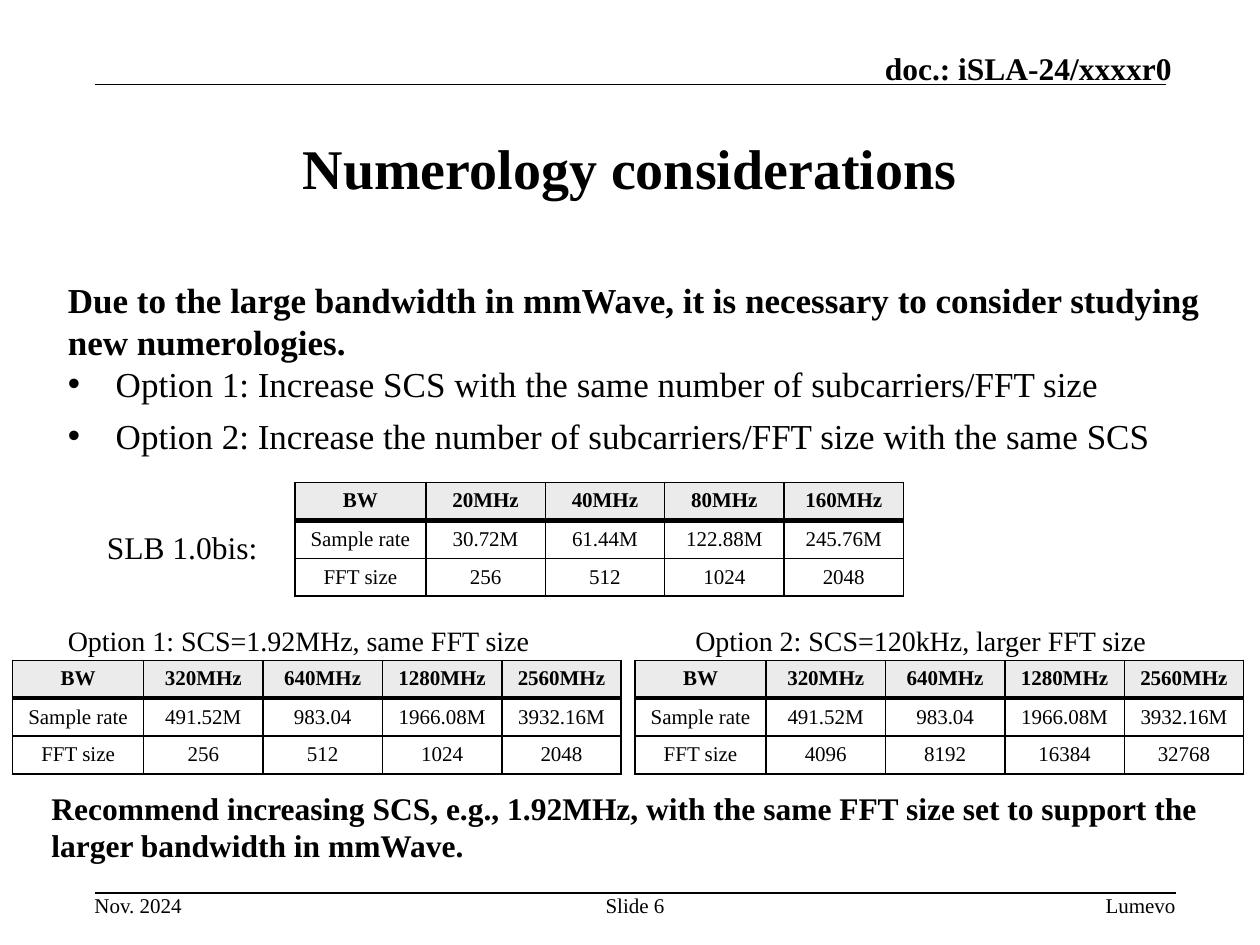
import dataclasses
import typing

import lxml.etree
import pptx
import pptx.dml.color
import pptx.enum.shapes
import pptx.enum.text
import pptx.oxml.ns
import pptx.util

Align = pptx.enum.text.PP_ALIGN
Anchor = pptx.enum.text.MSO_ANCHOR
qn = pptx.oxml.ns.qn


@dataclasses.dataclass(frozen=True)
class Theme:
    font: str = "Times New Roman"
    ink: str = "000000"
    head: str = "EBEBEB"
    title: int = 32
    body: int = 20
    note: int = 18
    label: int = 16
    small: int = 12
    thin: int = 1
    thick: int = 3


@dataclasses.dataclass(frozen=True)
class Box:
    """Place on a grid of 100 columns by 75 rows."""
    col: float
    row: float
    wide: float
    high: float


@dataclasses.dataclass(frozen=True)
class Label:
    text: str
    box: Box
    size: int
    bold: bool = False
    align: Align = Align.LEFT
    anchor: Anchor = Anchor.TOP
    wrap: bool = True
    inset: bool = True


@dataclasses.dataclass(frozen=True)
class Grid:
    col: float
    row: float
    bands: tuple[str, ...]
    rates: tuple[str, ...]
    sizes: tuple[str, ...]


THEME = Theme()
COLS, ROWS = 100, 75
WIDE, HIGH = pptx.util.Inches(10), pptx.util.Inches(7.5)
FIRST, OTHER, LINE = 10.4, 9.48, 2.8

WIDEBAND = ("320MHz", "640MHz", "1280MHz", "2560MHz")
FAST = ("491.52M", "983.04", "1966.08M", "3932.16M")
BASE = ("256", "512", "1024", "2048")
GRIDS = (
    Grid(23.4, 38.3, ("20MHz", "40MHz", "80MHz", "160MHz"),
         ("30.72M", "61.44M", "122.88M", "245.76M"), BASE),
    Grid(1, 52.4, WIDEBAND, FAST, BASE),
    Grid(50.4, 52.4, WIDEBAND, FAST, ("4096", "8192", "16384", "32768")),
)
LABELS = (
    Label("doc.: iSLA-24/xxxxr0", Box(54.7, 3.9, 38.3, 3), THEME.note, True,
          Align.RIGHT, Anchor.BOTTOM, inset=False),
    Label("Nov. 2024", Box(7.5, 70.8, 7, 2), THEME.small, wrap=False, inset=False),
    Label("Slide 6", Box(47.5, 70.8, 5.8, 4), THEME.small,
          align=Align.CENTER, inset=False),
    Label("Lumevo", Box(75, 70.8, 18.3, 2.1), THEME.small,
          align=Align.RIGHT, inset=False),
    Label("Option 2: SCS=120kHz, larger FFT size", Box(54.2, 49, 38.3, 3.7),
          THEME.label, wrap=False),
    Label("Option 1: SCS=1.92MHz, same FFT size", Box(4.4, 49, 39.1, 3.7),
          THEME.label, wrap=False),
    Label("SLB 1.0bis:", Box(7.5, 41.4, 14.5, 4), THEME.note, wrap=False),
    Label("Recommend increasing SCS, e.g., 1.92MHz, with the same FFT size set "
          "to support the larger bandwidth in mmWave.",
          Box(3.1, 62.1, 94.8, 7.1), THEME.note, True),
)
RULES = ((7.5, 6.7, 92.5), (7.5, 70.85, 93.3))
INTRO = ("Due to the large bandwidth in mmWave, it is necessary to consider "
         "studying new numerologies.")
POINTS = (
    "Option 1: Increase SCS with the same number of subcarriers/FFT size",
    "Option 2: Increase the number of subcarriers/FFT size with the same SCS",
)


def across(cols: float) -> int:
    return round(WIDE * cols / COLS)


def down(rows: float) -> int:
    return round(HIGH * rows / ROWS)


def place(box: Box) -> tuple[int, int, int, int]:
    return across(box.col), down(box.row), across(box.wide), down(box.high)


def style(para: typing.Any, size: int, bold: bool = False,
          align: Align = Align.LEFT) -> None:
    para.alignment = align
    for run in para.runs:
        run.font.name = THEME.font
        run.font.size = pptx.util.Pt(size)
        run.font.bold = bold
        run.font.color.rgb = pptx.dml.color.RGBColor.from_string(THEME.ink)


def set_title(slide: typing.Any, text: str) -> None:
    shape = slide.shapes.title
    shape.left, shape.top, shape.width, shape.height = place(Box(7.5, 7.5, 85, 11.6))
    frame = shape.text_frame
    frame.text = text
    frame.vertical_anchor = Anchor.MIDDLE
    style(frame.paragraphs[0], THEME.title, True, Align.CENTER)


def add_label(slide: typing.Any, label: Label) -> typing.Any:
    frame = slide.shapes.add_textbox(*place(label.box)).text_frame
    frame.word_wrap = label.wrap
    frame.vertical_anchor = label.anchor
    if not label.inset:
        frame.margin_left = frame.margin_right = 0
        frame.margin_top = frame.margin_bottom = 0
    frame.text = label.text
    style(frame.paragraphs[0], label.size, label.bold, label.align)
    return frame


def add_body(slide: typing.Any) -> None:
    frame = add_label(slide, Label(INTRO, Box(4.4, 21.6, 91.9, 45), THEME.body, True))
    for index, text in enumerate(POINTS):
        para = frame.add_paragraph()
        para.text = text
        props = para._p.get_or_add_pPr()
        props.set("marL", str(across(3.8)))
        props.set("indent", str(-across(3.8)))
        lxml.etree.SubElement(props, qn("a:buFont"), typeface="Arial")
        lxml.etree.SubElement(props, qn("a:buChar"), char="•")
        para.space_before = pptx.util.Pt(6 * index)
        style(para, THEME.body)


def add_rule(slide: typing.Any, left: float, row: float, right: float) -> None:
    rule = slide.shapes.add_connector(
        pptx.enum.shapes.MSO_CONNECTOR.STRAIGHT,
        across(left), down(row), across(right), down(row))
    rule.line.color.rgb = pptx.dml.color.RGBColor.from_string(THEME.ink)
    rule.line.width = pptx.util.Pt(THEME.thin)
    lxml.etree.SubElement(rule._element.spPr, qn("a:effectLst"))


def set_edges(cell: typing.Any, top: int, bottom: int) -> None:
    """Draw all four borders, with the given top and bottom weights."""
    props = cell._tc.get_or_add_tcPr()
    weights = {"L": THEME.thin, "R": THEME.thin, "T": top, "B": bottom}
    for side, weight in weights.items():
        edge = lxml.etree.SubElement(props, qn(f"a:ln{side}"), w=str(pptx.util.Pt(weight)))
        fill = lxml.etree.SubElement(edge, qn("a:solidFill"))
        lxml.etree.SubElement(fill, qn("a:srgbClr"), val=THEME.ink)


def add_grid(slide: typing.Any, grid: Grid) -> None:
    rows = (("BW", *grid.bands), ("Sample rate", *grid.rates), ("FFT size", *grid.sizes))
    widths = (FIRST, *[OTHER] * len(grid.bands))
    box = Box(grid.col, grid.row, sum(widths), LINE * len(rows))
    table = slide.shapes.add_table(len(rows), len(widths), *place(box)).table
    for column, width in zip(table.columns, widths):
        column.width = across(width)
    for r, texts in enumerate(rows):
        table.rows[r].height = down(LINE)
        for c, text in enumerate(texts):
            cell = table.cell(r, c)
            cell.text = text
            cell.vertical_anchor = Anchor.MIDDLE if r else Anchor.TOP
            cell.margin_left = cell.margin_right = across(0.5)
            set_edges(cell, THEME.thick if r == 1 else THEME.thin,
                      THEME.thin if r else THEME.thick)
            if r:
                cell.fill.background()
            else:
                cell.fill.solid()
                cell.fill.fore_color.rgb = pptx.dml.color.RGBColor.from_string(THEME.head)
            style(cell.text_frame.paragraphs[0], THEME.small, r == 0, Align.CENTER)


def main() -> None:
    deck = pptx.Presentation()
    deck.slide_width, deck.slide_height = WIDE, HIGH
    slide = deck.slides.add_slide(deck.slide_layouts.get_by_name("Title Only"))
    set_title(slide, "Numerology considerations")
    for rule in RULES:
        add_rule(slide, *rule)
    add_body(slide)
    for grid in GRIDS:
        add_grid(slide, grid)
    for label in LABELS:
        add_label(slide, label)
    deck.save("out.pptx")


if __name__ == "__main__":
    main()
